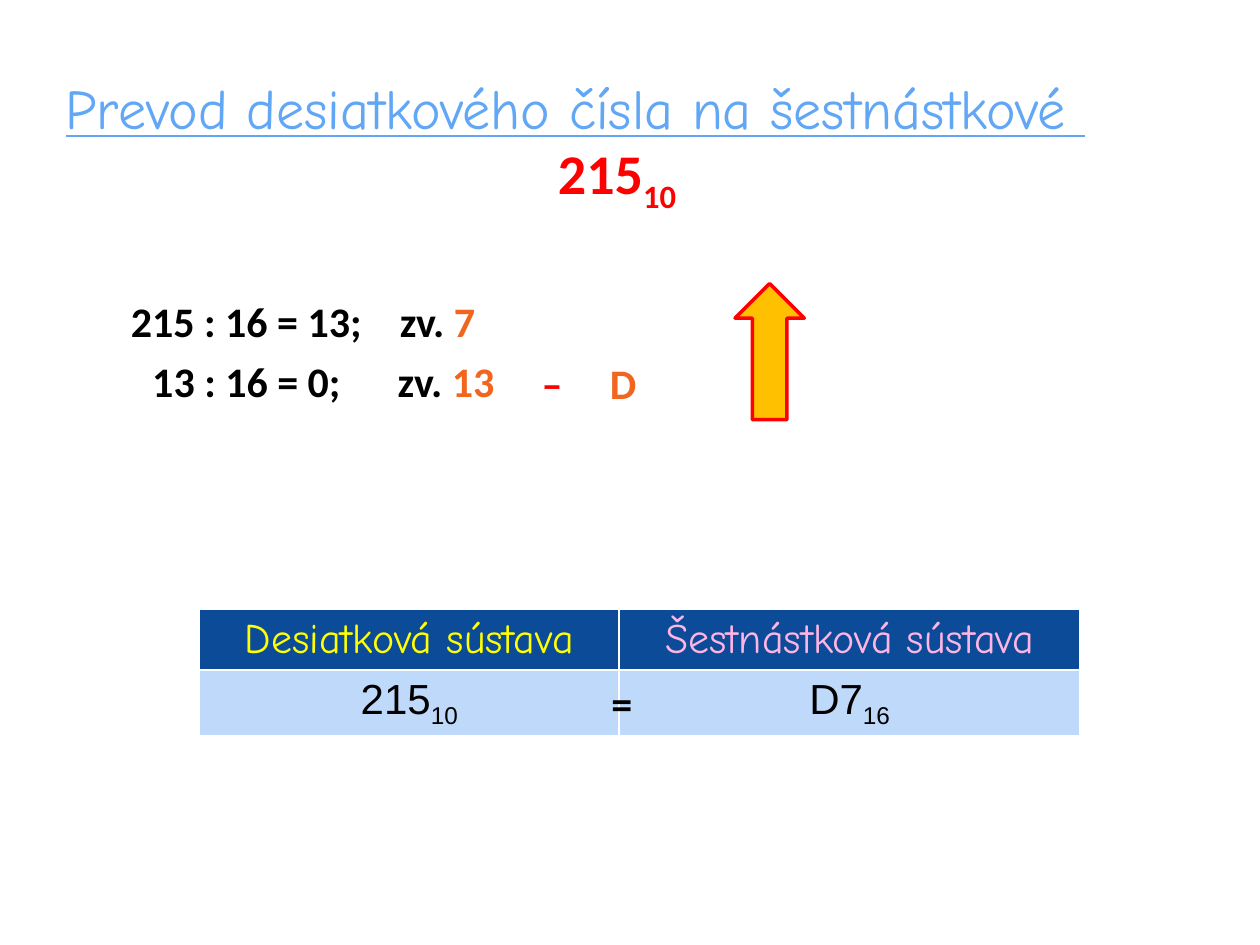
from dataclasses import dataclass

from lxml import etree
from pptx import Presentation
from pptx.dml.color import RGBColor
from pptx.enum.shapes import MSO_SHAPE
from pptx.enum.text import MSO_ANCHOR, MSO_AUTO_SIZE, PP_ALIGN
from pptx.oxml.ns import qn
from pptx.util import Pt

LEFT, CENTER = PP_ALIGN.LEFT, PP_ALIGN.CENTER
TOP = MSO_ANCHOR.TOP
NO_FIT = MSO_AUTO_SIZE.NONE
UP_ARROW = MSO_SHAPE.UP_ARROW
TITLE_ONLY = 5

COLORS = {
    "title": "61A7F5", "red": "FF0000", "orange": "F1651F", "black": "000000",
    "yellow": "FFFF00", "pink": "FEB4E5", "header": "0C4B98", "body": "BED9FA",
    "white": "FFFFFF", "arrow": "FFC000",
}


@dataclass(frozen=True)
class Run:
    text: str
    color: str = "black"
    font: str = "Calibri"
    size: float = 24
    bold: bool = True
    underline: bool = False
    subscript: bool = False


@dataclass(frozen=True)
class Label:
    left: float
    top: float
    width: float
    height: float
    runs: tuple[Run, ...]
    align: PP_ALIGN = LEFT
    tab: float = 0


@dataclass(frozen=True)
class Cell:
    fill: str
    runs: tuple[Run, ...]


TITLE = Label(30.24, 38.16, 660.24, 46.08, (
    Run("Prevod desiatkového čísla na šestnástkové ", "title", "Comic Neue", 32,
        bold=False, underline=True),))

LABELS = (
    Label(311.76, 75.6, 114.48, 46.08, (
        Run("215", "red", size=32), Run("10", "red", size=32, subscript=True))),
    Label(67.68, 165.6, 526.32, 36, (
        Run("215 : 16 = 13;\tzv. "), Run("7", "orange")), tab=153.7),
    Label(79.92, 199.44, 303.84, 36, (
        Run("13 : 16 = 0;\tzv. "), Run("13", "orange")), tab=140.3),
    Label(302.4, 200.88, 90, 36, (
        Run("–\t", "red"), Run("D", "orange")), tab=39),
)
EQUALS = Label(329.76, 383.76, 51.12, 36, (Run("="),), CENTER)


def heading(text: str, color: str) -> Cell:
    return Cell("header", (Run(text, color, "Comic Neue", bold=False),))


def number(digits: str, base: str) -> Cell:
    return Cell("body", (Run(digits, font="Arial", bold=False),
                         Run(base, font="Arial", bold=False, subscript=True)))


ROWS = (
    (heading("Desiatková sústava", "yellow"), heading("Šestnástková sústava", "pink")),
    (number("215", "10"), number("D7", "16")),
)
COLUMN_WIDTHS = (239.76, 263.52)
ROW_HEIGHT = 29.5


def rgb(name: str) -> RGBColor:
    return RGBColor.from_string(COLORS[name])


def add_runs(p, runs: tuple[Run, ...]) -> None:
    for run in runs:
        r = p.add_run()
        r.text = run.text
        r.font.name = run.font
        r.font.size = Pt(run.size)
        r.font.bold = run.bold
        r.font.underline = run.underline
        r.font.color.rgb = rgb(run.color)
        if run.subscript:
            r._r.get_or_add_rPr().set("baseline", "-25000")


def add_tab(p, position: float) -> None:
    tabs = etree.SubElement(p._p.get_or_add_pPr(), qn("a:tabLst"))
    etree.SubElement(tabs, qn("a:tab"), pos=str(Pt(position)), algn="l")


def fill_label(sp, label: Label) -> None:
    """Place a text box or placeholder and write its label."""
    sp.left, sp.top = Pt(label.left), Pt(label.top)
    sp.width, sp.height = Pt(label.width), Pt(label.height)
    tf = sp.text_frame
    tf.word_wrap = True
    tf.auto_size = NO_FIT
    tf.vertical_anchor = TOP
    p = tf.paragraphs[0]
    p.alignment = label.align
    if label.tab:
        add_tab(p, label.tab)
    add_runs(p, label.runs)


def add_label(s, label: Label) -> None:
    fill_label(s.shapes.add_textbox(0, 0, 0, 0), label)


def add_borders(cell) -> None:
    tc_pr = cell._tc.get_or_add_tcPr()
    for side in ("lnL", "lnR", "lnT", "lnB"):
        line = etree.SubElement(tc_pr, qn(f"a:{side}"), w=str(Pt(1)))
        fill = etree.SubElement(line, qn("a:solidFill"))
        etree.SubElement(fill, qn("a:srgbClr"), val=COLORS["white"])


def add_systems_table(s) -> None:
    table = s.shapes.add_table(
        len(ROWS), len(COLUMN_WIDTHS), Pt(114), Pt(348),
        Pt(sum(COLUMN_WIDTHS)), Pt(ROW_HEIGHT * len(ROWS))).table
    for column, width in zip(table.columns, COLUMN_WIDTHS):
        column.width = Pt(width)
    for i, row in enumerate(ROWS):
        table.rows[i].height = Pt(ROW_HEIGHT)
        for j, content in enumerate(row):
            cell = table.cell(i, j)
            add_borders(cell)
            cell.fill.solid()
            cell.fill.fore_color.rgb = rgb(content.fill)
            p = cell.text_frame.paragraphs[0]
            p.alignment = CENTER
            add_runs(p, content.runs)


def add_reading_arrow(s) -> None:
    sp = s.shapes.add_shape(UP_ARROW, Pt(420), Pt(162), Pt(39.6), Pt(77.76))
    sp.shadow.inherit = False
    sp.fill.solid()
    sp.fill.fore_color.rgb = rgb("arrow")
    sp.line.color.rgb = rgb("red")
    sp.line.width = Pt(2)


def main() -> None:
    prs = Presentation()
    prs.slide_width, prs.slide_height = Pt(720), Pt(540)
    s = prs.slides.add_slide(prs.slide_layouts[TITLE_ONLY])
    fill_label(s.shapes.title, TITLE)
    for label in LABELS:
        add_label(s, label)
    add_systems_table(s)
    add_label(s, EQUALS)
    add_reading_arrow(s)
    prs.save("out.pptx")


if __name__ == "__main__":
    main()
